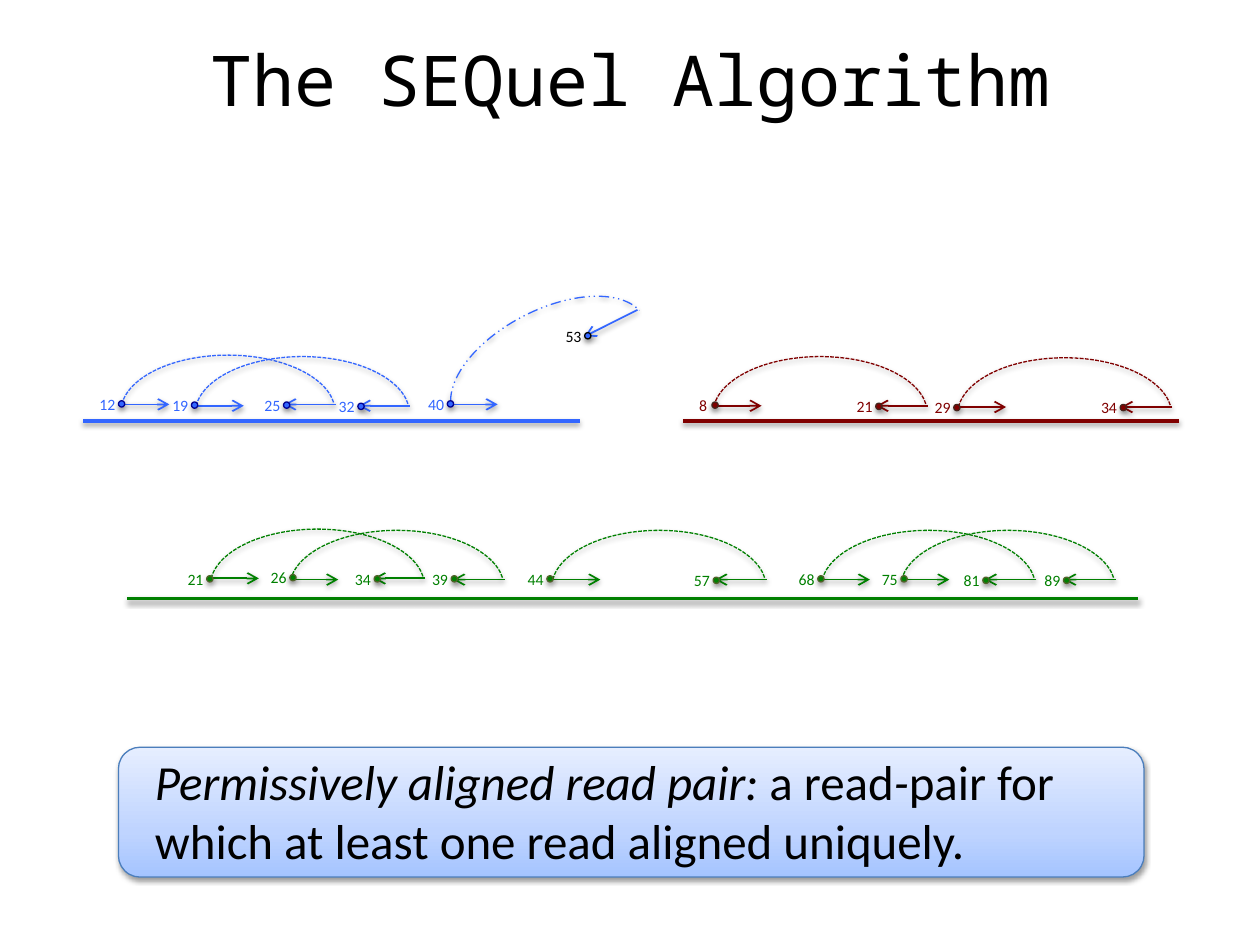
from copy import deepcopy
from dataclasses import dataclass

from lxml.etree import SubElement
from pptx import Presentation
from pptx.dml.color import RGBColor
from pptx.enum.dml import MSO_LINE
from pptx.enum.shapes import MSO_CONNECTOR as Connector, MSO_SHAPE as Preset
from pptx.enum.text import MSO_ANCHOR, MSO_AUTO_SIZE, PP_ALIGN
from pptx.oxml.ns import qn
from pptx.util import Pt

COLORS = {
    "black": "000000",
    "blue": "3366FF", "blue_rim": "000090",
    "red": "800000", "red_rim": "45231B",
    "green": "008000", "green_rim": "4F6228",
    "panel_line": "4B7EBC",
    "panel_bottom": "A4C4FF", "panel_middle": "BFD4FF", "panel_top": "E6EEFF",
}
ARC_WIDTH, ARC_HEIGHT, ARC_RISE = 122.4, 64.8, 28.1
FORWARD_LENGTH, REVERSE_START, REVERSE_END = 27.7, 122.8, 93.4
DOT = 3.6


@dataclass(frozen=True)
class Contig:
    color: str
    left: float
    right: float
    y: float


@dataclass(frozen=True)
class Position:
    label: str
    x: float
    y: float


@dataclass(frozen=True)
class ReadPair:
    color: str
    arc_left: float
    arc_top: float
    first: Position
    second: Position


CONTIGS = [
    Contig("blue", 47.5, 331.2, 240.5),
    Contig("red", 390.2, 673.9, 240.5),
    Contig("green", 72.7, 650.2, 342),
]
READ_PAIRS = [
    ReadPair("blue", 69.1, 203, Position("12", 67.7, 229), Position("25", 162, 229.7)),
    ReadPair("blue", 111.6, 203.8, Position("19", 109.4, 229.7), Position("32", 204.5, 230.4)),
    ReadPair("red", 407.5, 203.8, Position("8", 406.8, 229.7), Position("21", 500.4, 230.4)),
    ReadPair("red", 547.2, 204.5, Position("29", 545, 231.1), Position("34", 640.1, 231.1)),
    ReadPair("green", 120.2, 302.4, Position("21", 118.1, 329), Position("34", 213.8, 329)),
    ReadPair("green", 165.6, 303.1, Position("26", 165.6, 328.3), Position("39", 257.8, 329)),
    ReadPair("green", 315.4, 303.1, Position("44", 312.5, 329), Position("57", 407.5, 329.8)),
    ReadPair("green", 469.4, 303.1, Position("68", 467.3, 329), Position("81", 561.6, 329.8)),
    ReadPair("green", 514.8, 303.1, Position("75", 514.8, 329), Position("89", 607.7, 329.8)),
]


def rgb(name: str) -> RGBColor:
    return RGBColor.from_string(COLORS[name])


def add_shadow(shape, alpha: int = 38, distance: float = 1.6) -> None:
    effects = SubElement(shape._element.spPr, qn("a:effectLst"))
    shadow = SubElement(effects, qn("a:outerShdw"), blurRad=str(Pt(3.1)),
                        dist=str(Pt(distance)), dir="5400000", rotWithShape="0")
    tint = SubElement(shadow, qn("a:srgbClr"), val=COLORS["black"])
    SubElement(tint, qn("a:alpha"), val=str(alpha * 1000))


def set_line(shape, color: str, width: float) -> None:
    shape.line.color.rgb = rgb(color)
    shape.line.width = Pt(width)


def add_line(slide, start: tuple[float, float], end: tuple[float, float],
             color: str, width: float, arrow: bool = False) -> None:
    line = slide.shapes.add_connector(Connector.STRAIGHT, *map(Pt, start + end))
    set_line(line, color, width)
    if arrow:
        SubElement(line._element.spPr.find(qn("a:ln")), qn("a:tailEnd"), type="arrow")
    add_shadow(line)


def add_arc(slide, left: float, top: float, color: str, start: float = 110.39,
            rotation: float = 0, dash: MSO_LINE = MSO_LINE.SQUARE_DOT) -> None:
    arc = slide.shapes.add_shape(Preset.ARC, Pt(left), Pt(top), Pt(ARC_WIDTH), Pt(ARC_HEIGHT))
    arc.adjustments[0], arc.adjustments[1] = start, 213.21
    arc.rotation = rotation
    arc.fill.background()
    set_line(arc, color, 0.75)
    arc.line.dash_style = dash
    add_shadow(arc)


def add_text(slide, left: float, top: float, width: float, height: float,
             runs: list[tuple[str, bool]], size: float, color: str = "black",
             font: str = "Calibri", wrap: bool = True):
    box = slide.shapes.add_textbox(Pt(left), Pt(top), Pt(width), Pt(height))
    frame = box.text_frame
    frame.word_wrap = wrap
    paragraph = frame.paragraphs[0]
    paragraph.font.name = font
    paragraph.font.size = Pt(size)
    paragraph.font.color.rgb = rgb(color)
    for text, italic in runs:
        run = paragraph.add_run()
        run.text = text
        if italic:
            run.font.italic = True
    return frame


def add_position(slide, position: Position, fill: str, rim: str, label_color: str) -> None:
    label_offset = 18 if len(position.label) > 1 else 14.4
    add_text(slide, position.x - label_offset, position.y - 7.2, 25.9, 18,
             [(position.label, False)], 9, label_color, wrap=False)
    dot = slide.shapes.add_shape(Preset.OVAL, Pt(position.x), Pt(position.y), Pt(DOT), Pt(DOT))
    dot.fill.solid()
    dot.fill.fore_color.rgb = rgb(fill)
    set_line(dot, rim, 0.75)
    add_shadow(dot, 35, 1.8)


def add_read_pair(slide, pair: ReadPair) -> None:
    left, y = pair.arc_left, pair.arc_top + ARC_RISE
    add_arc(slide, left, pair.arc_top, pair.color)
    add_line(slide, (left, y), (left + FORWARD_LENGTH, y), pair.color, 1, True)
    add_line(slide, (left + REVERSE_START, y), (left + REVERSE_END, y), pair.color, 1, True)
    for position in (pair.first, pair.second):
        add_position(slide, position, pair.color, f"{pair.color}_rim", pair.color)


def add_half_aligned_pair(slide) -> None:
    add_arc(slide, 252.7, 177.1, "blue", 112.64, 332.7, MSO_LINE.DASH_DOT_DOT)
    add_line(slide, (257, 231.1), (284.4, 231.1), "blue", 1, True)
    add_line(slide, (364.3, 177.1), (334.1, 192.2), "blue", 1, True)
    add_position(slide, Position("40", 255.6, 229), "blue", "blue_rim", "blue")
    add_position(slide, Position("53", 334.1, 190.1), "blue", "black", "black")


def add_definition(slide) -> None:
    panel = slide.shapes.add_shape(Preset.ROUNDED_RECTANGLE, Pt(67.7), Pt(427), Pt(586.1), Pt(74.2))
    panel.fill.gradient()
    panel.fill.gradient_angle = 90
    stop_list = panel._element.spPr.find(".//" + qn("a:gsLst"))
    stop_list.insert(1, deepcopy(stop_list[0]))
    shades = [(0, "panel_bottom"), (0.35, "panel_middle"), (1, "panel_top")]
    for stop, (place, shade) in zip(panel.fill.gradient_stops, shades):
        stop.position = place
        stop.color.rgb = rgb(shade)
    set_line(panel, "panel_line", 0.75)
    add_shadow(panel)
    definition = add_text(slide, 81.4, 426.2, 555.8, 74.9, [
        ("Permissively aligned read pair:", True),
        (" a read", False),
        ("-", True),
        ("pair for which at least one read aligned uniquely.", False),
    ], 28)
    definition.auto_size = MSO_AUTO_SIZE.SHAPE_TO_FIT_TEXT


def main() -> None:
    deck = Presentation()
    deck.slide_width, deck.slide_height = Pt(720), Pt(540)
    slide = deck.slides.add_slide(deck.slide_layouts[6])
    for contig in CONTIGS:
        add_line(slide, (contig.left, contig.y), (contig.right, contig.y), contig.color, 2)
    add_definition(slide)
    for pair in READ_PAIRS:
        add_read_pair(slide, pair)
    add_half_aligned_pair(slide)
    title = add_text(slide, 36, 10.8, 648, 68.4, [("The SEQuel Algorithm", False)],
                     40, font="Noto Sans Mono")
    title.vertical_anchor = MSO_ANCHOR.MIDDLE
    title.paragraphs[0].alignment = PP_ALIGN.CENTER
    deck.save("out.pptx")


if __name__ == "__main__":
    main()
